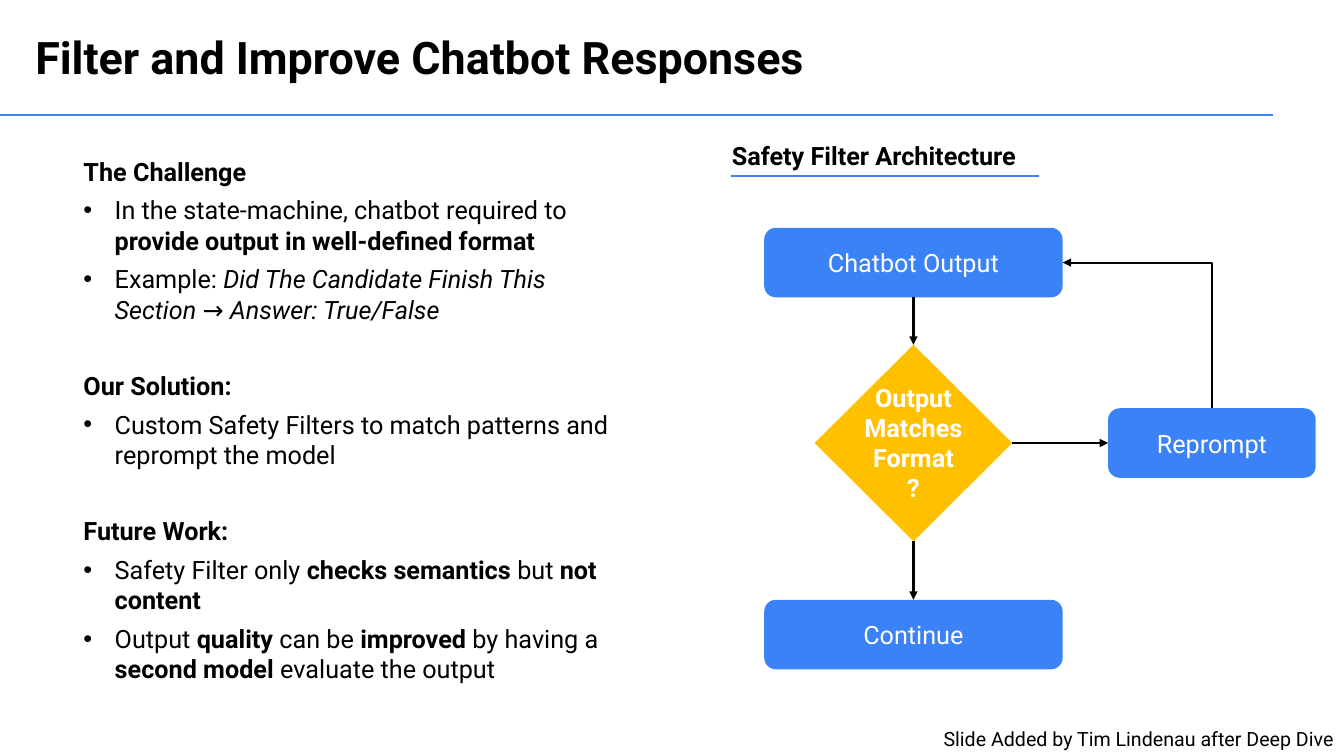
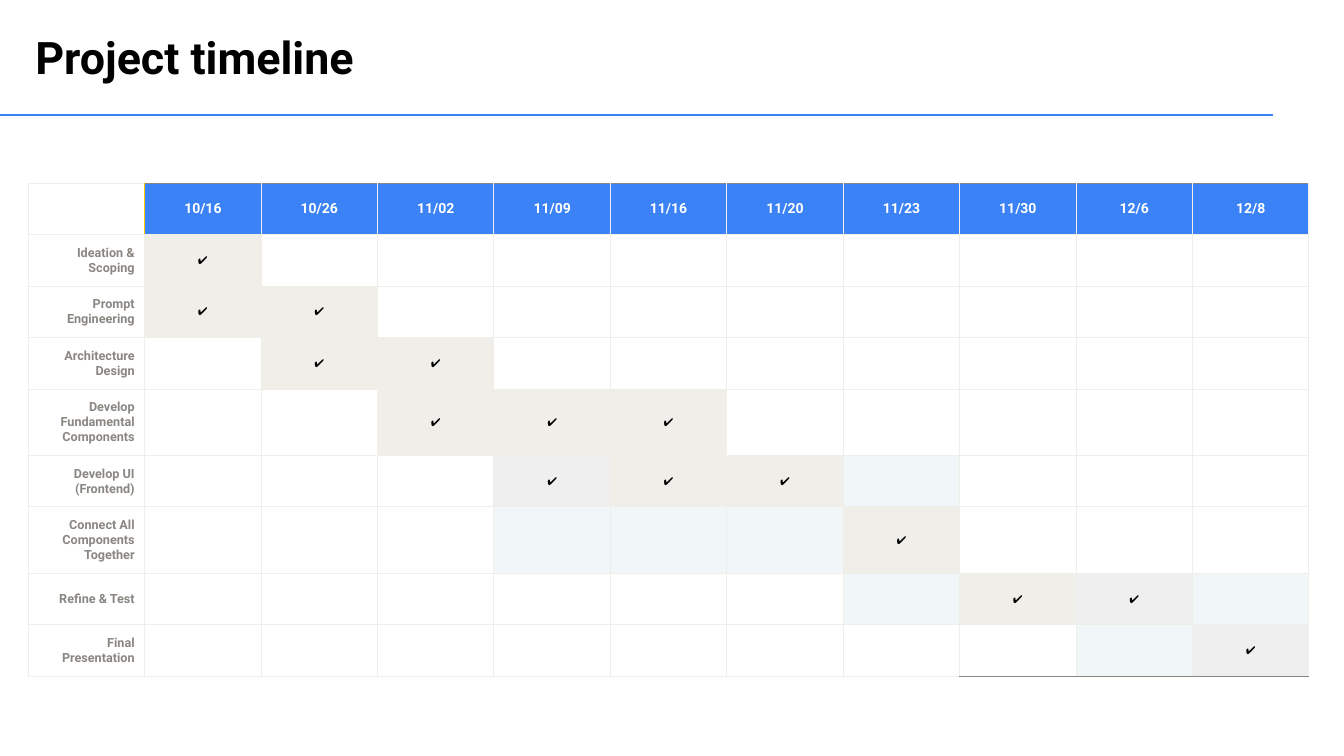
from lxml import etree
from pptx import Presentation
from pptx import util as u
from pptx.dml.color import RGBColor
from pptx.enum import shapes, text
from pptx.oxml import ns

BLUE = RGBColor(0x3B, 0x82, 0xF6)
GOLD = RGBColor(0xFF, 0xC0, 0x00)
YELLOW = RGBColor(0xFF, 0xCD, 0x00)
BLACK = RGBColor(0x00, 0x00, 0x00)
WHITE = RGBColor(0xFF, 0xFF, 0xFF)
GREY = RGBColor(0x8A, 0x86, 0x82)
SAND = RGBColor(0xF0, 0xEE, 0xE9)
SILVER = RGBColor(0xEF, 0xEF, 0xEF)
MIST = RGBColor(0xF1, 0xF6, 0xF9)

FONT = "Roboto"
LEFT, MID, RIGHT = text.PP_ALIGN.LEFT, text.PP_ALIGN.CENTER, text.PP_ALIGN.RIGHT
TOP, CENTRE = text.MSO_ANCHOR.TOP, text.MSO_ANCHOR.MIDDLE
KIND = shapes.MSO_SHAPE


def inch(*sizes):
    return [u.Inches(size) for size in sizes]


def sub(parent, tag, **attrs):
    return etree.SubElement(parent, ns.qn(tag), attrs)


def put(frame, words, size=18, color=BLACK, bold=False, em="bold",
        align=LEFT, before=0, bullet=False):
    """Add a paragraph; words between asterisks get the emphasis em."""
    para = frame.paragraphs[0]
    if para.runs:
        para = frame.add_paragraph()
    if bullet:
        props = para._p.get_or_add_pPr()
        indent = u.Inches(0.31)
        props.set("marL", str(indent))
        props.set("indent", str(-indent))
        sub(props, "a:buFont", typeface="Arial")
        sub(props, "a:buChar", char="•")
    para.alignment = align
    para.space_before = u.Pt(before)
    for i, part in enumerate(words.split("*")):
        if not part:
            continue
        run = para.add_run()
        run.text = part
        font = run.font
        font.name, font.size, font.bold = FONT, u.Pt(size), bold
        font.color.rgb = color
        if i % 2:
            setattr(font, em, True)


class Deck:
    def __init__(self):
        self.prs = Presentation()
        self.prs.slide_width, self.prs.slide_height = inch(13.33, 7.5)
        self.slide = None

    def page(self, title):
        """Start a slide with its title and the rule below it."""
        self.slide = self.prs.slides.add_slide(self.prs.slide_layouts[5])
        self.line(0, 1.14, 12.63, 1.14)
        head = self.slide.shapes.title
        head.left, head.top, head.width, head.height = inch(0.25, 0.24, 11.36, 0.64)
        frame = head.text_frame
        frame.auto_size = text.MSO_AUTO_SIZE.NONE
        frame.vertical_anchor = TOP
        put(frame, title, size=32, bold=True)

    def box(self, x, y, w, h, wrap=True):
        frame = self.slide.shapes.add_textbox(*inch(x, y, w, h)).text_frame
        frame.word_wrap = wrap
        return frame

    def shape(self, kind, x, y, w, h, fill, label=""):
        item = self.slide.shapes.add_shape(kind, *inch(x, y, w, h))
        item.shadow.inherit = False
        item.fill.solid()
        item.fill.fore_color.rgb = fill
        item.line.fill.background()
        if label:
            item.text_frame.vertical_anchor = CENTRE
            put(item.text_frame, label, color=WHITE, align=MID)
        return item

    def stroke(self, link, color, end=None):
        link.line.color.rgb = color
        link.line.width = u.Pt(1.5)
        if end:
            sub(link.line._get_or_add_ln(), end, type="triangle")
        sub(link._element.spPr, "a:effectLst")

    def line(self, x1, y1, x2, y2):
        link = self.slide.shapes.add_connector(
            shapes.MSO_CONNECTOR.STRAIGHT, *inch(x1, y1, x2, y2))
        self.stroke(link, BLUE)

    def arrow(self, start, out, stop, into, bent=False):
        """Join two shapes by site: 0 top, 1 left, 2 bottom, 3 right."""
        kind = shapes.MSO_CONNECTOR.ELBOW if bent else shapes.MSO_CONNECTOR.STRAIGHT
        link = self.slide.shapes.add_connector(kind, 0, 0, 0, 0)
        link.begin_connect(start, out)
        link.end_connect(stop, into)
        if bent:
            link._element.spPr.find(ns.qn("a:prstGeom")).set("prst", "bentConnector2")
        self.stroke(link, BLACK, "a:headEnd" if bent else "a:tailEnd")

    def table(self, x, y, wide, highs):
        rows, cols = len(highs), len(wide)
        grid = self.slide.shapes.add_table(
            rows, cols, *inch(x, y, sum(wide), sum(highs))).table
        grid.first_row = grid.horz_banding = False
        for col, size in zip(grid.columns, wide):
            col.width = u.Inches(size)
        for row, size in zip(grid.rows, highs):
            row.height = u.Inches(size)
        return grid

    def cell(self, cell, words="", fill=None, edges=None, **style):
        props = cell._tc.get_or_add_tcPr()
        for side in "LRTB":
            edge = sub(props, "a:ln" + side, w=str(u.Pt(0.75)))
            paint = sub(edge, "a:solidFill")
            sub(paint, "a:srgbClr", val=str((edges or {}).get(side, SAND)))
        if fill is None:
            cell.fill.background()
        else:
            cell.fill.solid()
            cell.fill.fore_color.rgb = fill
        if words:
            cell.vertical_anchor = CENTRE
            cell.margin_left = cell.margin_right = u.Inches(0.1)
            cell.margin_top = cell.margin_bottom = u.Inches(0.1)
            put(cell.text_frame, words, **style)


def filters(deck):
    deck.page("Filter and Improve Chatbot Responses")

    # Argument on the left
    parts = [
        ("The Challenge", [
            ("In the state-machine, chatbot required to "
             "*provide output in well-defined format*", "bold"),
            ("Example: *Did The Candidate Finish This Section *→"
             "* Answer: True/False*", "italic")]),
        ("Our Solution:", [
            ("Custom Safety Filters to match patterns and reprompt the model", "bold")]),
        ("Future Work:", [
            ("Safety Filter only *checks semantics *but *not content*", "bold"),
            ("Output *quality* can be *improved* by having a "
             "*second model *evaluate the output", "bold")]),
    ]
    body = deck.box(0.73, 1.5, 5.53, 5.4)
    for i, (head, points) in enumerate(parts):
        put(body, head, bold=True, before=33 if i else 0)
        for words, em in points:
            put(body, words, em=em, before=6, bullet=True)

    # Flow chart on the right
    put(deck.box(7.16, 1.34, 3.32, 0.4), "Safety Filter Architecture", bold=True)
    deck.line(7.25, 1.75, 10.3, 1.75)
    output = deck.shape(KIND.ROUNDED_RECTANGLE, 7.58, 2.26, 2.96, 0.69, BLUE, "Chatbot Output")
    check = deck.shape(KIND.DIAMOND, 8.08, 3.42, 1.96, 1.95, GOLD)
    retry = deck.shape(KIND.ROUNDED_RECTANGLE, 10.99, 4.05, 2.06, 0.69, BLUE, "Reprompt")
    done = deck.shape(KIND.ROUNDED_RECTANGLE, 7.58, 5.95, 2.96, 0.69, BLUE, "Continue")
    query = deck.box(8.36, 3.74, 1.4, 1.31)
    for words in ("Output Matches Format", "?"):
        put(query, words, color=WHITE, bold=True, align=MID)
    deck.arrow(output, 2, check, 0)
    deck.arrow(check, 2, done, 0)
    deck.arrow(check, 3, retry, 1)
    deck.arrow(output, 3, retry, 0, bent=True)

    # Credit
    put(deck.box(9.26, 7.16, 4.07, 0.34, wrap=False),
        "Slide Added by Tim Lindenau after Deep Dive", size=14)


def timeline(deck):
    deck.page("Project timeline")
    dates = ["10/16", "10/26", "11/02", "11/09", "11/16",
             "11/20", "11/23", "11/30", "12/6", "12/8"]
    # One mark per date: x and o are ticked, b is shaded, . is empty
    tasks = [
        ("Ideation & Scoping", "x........."),
        ("Prompt Engineering", "xx........"),
        ("Architecture Design", ".xx......."),
        ("Develop Fundamental Components", "..xxx....."),
        ("Develop UI (Frontend)", "...oxxb..."),
        ("Connect All Components Together", "...bbbx..."),
        ("Refine & Test", "......bxob"),
        ("Final Presentation", "........bo"),
    ]
    fills = {"x": SAND, "o": SILVER, "b": MIST}
    highs = [0.51] + [0.66 if len(name) > 25 else 0.51 for name, _ in tasks]
    grid = deck.table(0.28, 1.82, [1.155] * (len(dates) + 1), highs)

    # Header row
    deck.cell(grid.cell(0, 0), edges={"R": YELLOW})
    for c, date in enumerate(dates, 1):
        edges = {"T": GREY, "L": YELLOW if c == 1 else SAND}
        deck.cell(grid.cell(0, c), date, BLUE, edges,
                  size=10, color=WHITE, bold=True, align=MID)

    # Task rows
    for r, (name, marks) in enumerate(tasks, 1):
        deck.cell(grid.cell(r, 0), name, size=9, color=GREY, bold=True, align=RIGHT)
        for c, mark in enumerate(marks, 1):
            edges = {"B": GREY} if r == len(tasks) and c > 7 else None
            deck.cell(grid.cell(r, c), "✔" if mark in "xo" else "",
                      fills.get(mark), edges, size=8, align=MID)


def main():
    deck = Deck()
    filters(deck)
    timeline(deck)
    deck.prs.save("out.pptx")


if __name__ == "__main__":
    main()
